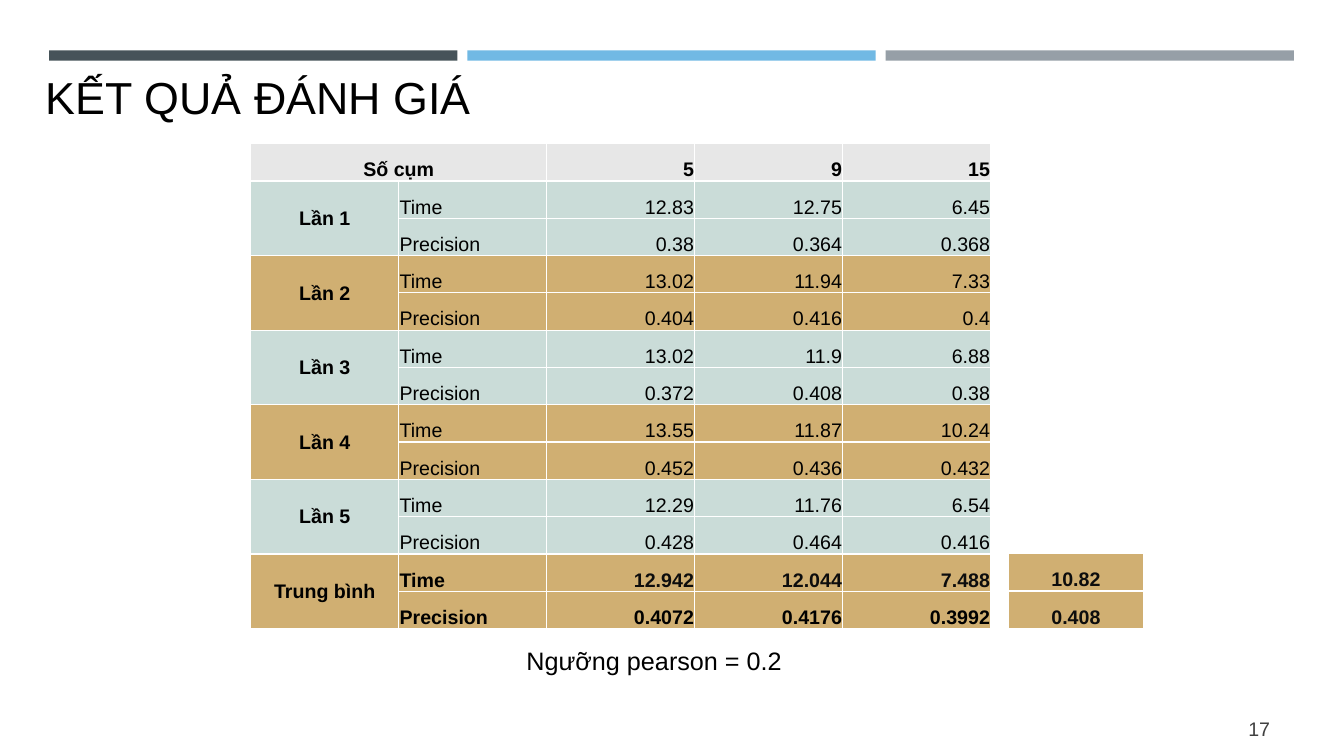
from dataclasses import dataclass

from lxml.etree import SubElement
from pptx import Presentation
from pptx.dml.color import RGBColor
from pptx.enum.shapes import MSO_SHAPE
from pptx.enum.text import MSO_ANCHOR, PP_ALIGN
from pptx.oxml.ns import qn
from pptx.util import Cm, Pt


@dataclass(frozen=True)
class Theme:
    font: str = "Arial"
    black: str = "000000"
    near_black: str = "0D0D0D"
    grey: str = "404040"
    white: str = "FFFFFF"
    bars: tuple = ("465359", "71B9E4", "969FA7")
    header: str = "E7E7E7"
    green: str = "CADCD8"
    gold: str = "D0AF72"
    title_size: int = 32
    note_size: int = 18
    table_size: int = 14


THEME = Theme()
ROW_HEIGHT = 0.94
COL_WIDTH = 3.73

CLUSTERS = ["5", "9", "15"]
# Label, times per cluster count, precisions per cluster count
RUNS = [
    ("Lần 1", ["12.83", "12.75", "6.45"], ["0.38", "0.364", "0.368"]),
    ("Lần 2", ["13.02", "11.94", "7.33"], ["0.404", "0.416", "0.4"]),
    ("Lần 3", ["13.02", "11.9", "6.88"], ["0.372", "0.408", "0.38"]),
    ("Lần 4", ["13.55", "11.87", "10.24"], ["0.452", "0.436", "0.432"]),
    ("Lần 5", ["12.29", "11.76", "6.54"], ["0.428", "0.464", "0.416"]),
    ("Trung bình", ["12.942", "12.044", "7.488"], ["0.4072", "0.4176", "0.3992"]),
]
OVERALL = ["10.82", "0.408"]


def style_text(tf, size, color, align, bold=False):
    p = tf.paragraphs[0]
    p.alignment = align
    for r in p.runs:
        r.font.name = THEME.font
        r.font.size = Pt(size)
        r.font.bold = bold
        r.font.color.rgb = RGBColor.from_string(color)


def add_bar(s, left, color):
    sp = s.shapes.add_shape(MSO_SHAPE.RECTANGLE, Cm(left), Cm(1.27), Cm(10.29), Cm(0.26))
    sp.shadow.inherit = False
    sp.fill.solid()
    sp.fill.fore_color.rgb = RGBColor.from_string(color)
    sp.line.fill.background()


def add_text(s, text, left, top, width, height, size, color,
             align=PP_ALIGN.LEFT, anchor=MSO_ANCHOR.TOP):
    sp = s.shapes.add_textbox(Cm(left), Cm(top), Cm(width), Cm(height))
    tf = sp.text_frame
    tf.word_wrap = True
    tf.vertical_anchor = anchor
    tf.text = text
    style_text(tf, size, color, align)


def add_borders(cell):
    tc_pr = cell._tc.get_or_add_tcPr()
    for side in ("a:lnL", "a:lnR", "a:lnT", "a:lnB"):
        ln = SubElement(tc_pr, qn(side), w=str(Pt(1)))
        fill = SubElement(ln, qn("a:solidFill"))
        SubElement(fill, qn("a:srgbClr"), val=THEME.white)


def add_grid(s, left, top, rows, cols, col_width):
    frame = s.shapes.add_table(rows, cols, Cm(left), Cm(top),
                               Cm(col_width * cols), Cm(ROW_HEIGHT * rows))
    table = frame.table
    table.first_row = False
    table.horz_banding = False
    for row in table.rows:
        row.height = Cm(ROW_HEIGHT)
    for col in table.columns:
        col.width = Cm(col_width)
    for cell in table.iter_cells():
        add_borders(cell)
        cell.margin_left = cell.margin_right = cell.margin_top = Cm(0.02)
        cell.margin_bottom = 0
        cell.vertical_anchor = MSO_ANCHOR.BOTTOM
    return table


def fill_cell(cell, fill, text="", align=PP_ALIGN.RIGHT, bold=False, color=THEME.black):
    cell.fill.solid()
    cell.fill.fore_color.rgb = RGBColor.from_string(fill)
    cell.text_frame.text = text
    style_text(cell.text_frame, THEME.table_size, color, align, bold)


def add_results(s):
    table = add_grid(s, 6.32, 3.62, 1 + 2 * len(RUNS), 2 + len(CLUSTERS), COL_WIDTH)

    # Header row
    fill_cell(table.cell(0, 0), THEME.header, "Số cụm", PP_ALIGN.CENTER, True)
    fill_cell(table.cell(0, 1), THEME.header)
    table.cell(0, 0).merge(table.cell(0, 1))
    for c, count in enumerate(CLUSTERS, 2):
        fill_cell(table.cell(0, c), THEME.header, count, bold=True)

    # Two rows for each run, the last one being the average
    for i, (label, times, precisions) in enumerate(RUNS):
        top = 1 + 2 * i
        fill = THEME.gold if i % 2 else THEME.green
        average = i == len(RUNS) - 1
        head = table.cell(top, 0)
        fill_cell(head, fill, label, PP_ALIGN.CENTER, True)
        head.vertical_anchor = MSO_ANCHOR.MIDDLE
        fill_cell(table.cell(top + 1, 0), fill)
        head.merge(table.cell(top + 1, 0))
        time_color = THEME.near_black if average else THEME.black
        measures = [("Time", times, time_color), ("Precision", precisions, THEME.black)]
        for r, (name, values, color) in enumerate(measures, top):
            fill_cell(table.cell(r, 1), fill, name, PP_ALIGN.LEFT, average)
            for c, value in enumerate(values, 2):
                fill_cell(table.cell(r, c), fill, value, bold=average, color=color)


def add_overall(s):
    table = add_grid(s, 25.42, 13.95, len(OVERALL), 1, 3.39)
    for r, value in enumerate(OVERALL):
        fill_cell(table.cell(r, 0), THEME.gold, value, PP_ALIGN.CENTER, True,
                  THEME.near_black)


def main():
    prs = Presentation()
    prs.slide_width = Cm(33.87)
    prs.slide_height = Cm(19.05)
    s = prs.slides.add_slide(prs.slide_layouts[6])

    # Top bars and title
    for i, color in enumerate(THEME.bars):
        add_bar(s, 1.24 + 10.54 * i, color)
    add_text(s, "KẾT QUẢ ĐÁNH GIÁ", 0.91, 1.63, 27.03, 1.63,
             THEME.title_size, THEME.black)

    # Tables
    add_results(s)
    add_overall(s)

    # Note and slide number
    add_text(s, "Ngưỡng pearson = 0.2", 12.7, 16.13, 7.57, 1.02,
             THEME.note_size, THEME.black, PP_ALIGN.CENTER)
    add_text(s, "17", 29.34, 17.86, 2.92, 1.02, THEME.table_size, THEME.grey,
             PP_ALIGN.RIGHT, MSO_ANCHOR.MIDDLE)

    prs.save("out.pptx")


if __name__ == "__main__":
    main()
